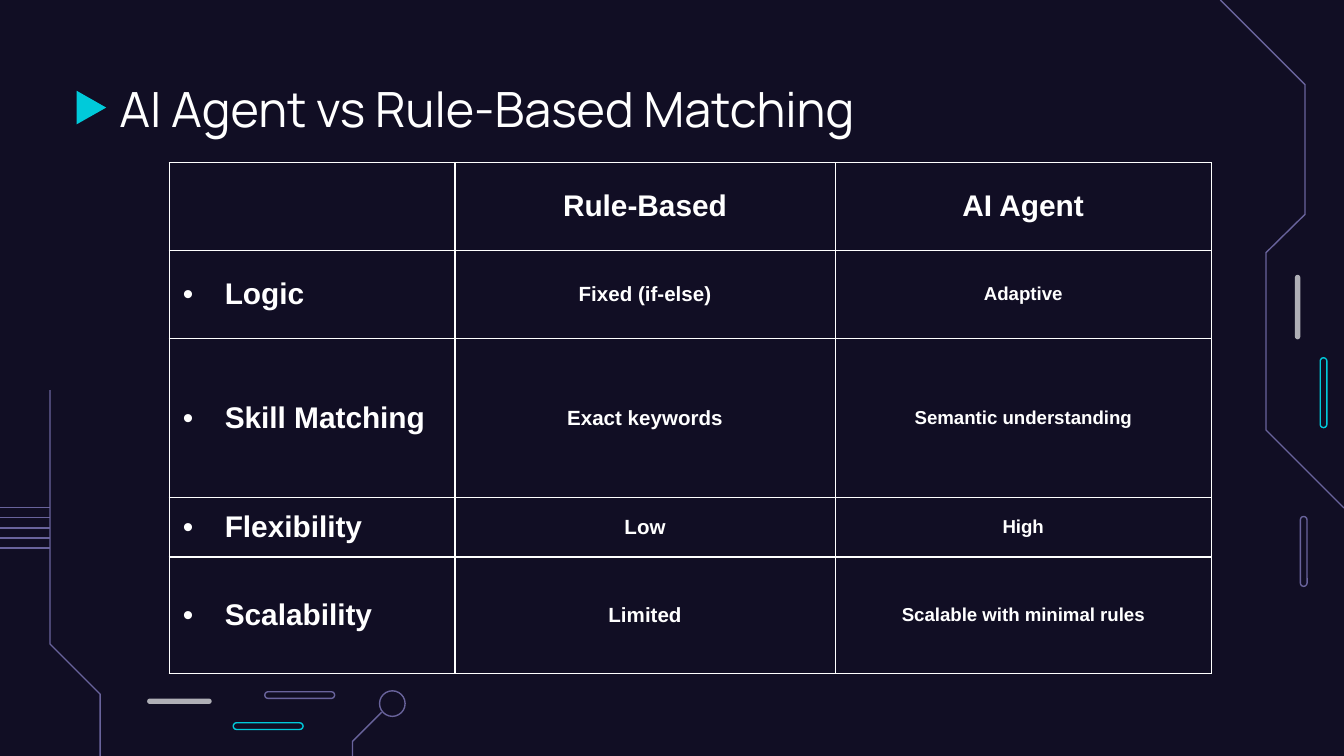
import lxml.etree
import pptx
import pptx.dml.color
import pptx.enum.shapes
import pptx.enum.text
import pptx.oxml
import pptx.oxml.ns
import pptx.util

SLIDE_WIDTH = pptx.util.Inches(10)
SLIDE_HEIGHT = SLIDE_WIDTH * 9 // 16
GRID_COLUMNS = 100  # square grid: rows are as high as columns are wide
BOTTOM = 56.25

NIGHT, WHITE, CYAN, VIOLET, GREY = "110E24", "FFFFFF", "00CADA", "69639C", "AFAFB6"
LINE_WIDTH = 0.75

COLUMN_WIDTHS = [21.25, 28.3, 27.97]
ROW_HEIGHTS = [6.54, 6.54, 11.84, 4.44, 8.67]
COMPARISON = [
    ["", "Rule-Based", "AI Agent"],
    ["Logic", "Fixed (if-else)", "Adaptive"],
    ["Skill Matching", "Exact keywords", "Semantic understanding"],
    ["Flexibility", "Low", "High"],
    ["Scalability", "Limited", "Scalable with minimal rules"],
]
HEADING_SIZE = 16
BODY_SIZES = [HEADING_SIZE, 11, 10]

CIRCUIT_TRACES = [
    [(100, 37.8), (94.2, 32), (94.2, 18.8), (97.1, 15.95), (97.1, 6.3), (90.8, 0)],
    [(7.45, BOTTOM), (7.45, 51.65), (3.72, 47.92), (3.72, 29.03)],
    [(28.4, 53), (26.23, 55.17), (26.23, BOTTOM)],
]
SOLID_PILLS = [(96.35, 20.45, 0.4, 4.8), (10.95, 51.98, 4.8, 0.4)]
OUTLINED_PILLS = [
    ((98.23, 26.62, 0.5, 5.2), CYAN),
    ((96.75, 38.43, 0.5, 5.2), VIOLET),
    ((17.35, 53.78, 5.2, 0.5), CYAN),
    ((19.7, 51.47, 5.2, 0.5), VIOLET),
]


def grid(units):
    return round(SLIDE_WIDTH * units / GRID_COLUMNS)


def color(hex_string):
    return pptx.dml.color.RGBColor.from_string(hex_string)


def write(frame, text, *, size, font="Arial", bold=False, align=None):
    paragraph = frame.paragraphs[0]
    paragraph.alignment = align
    run = paragraph.add_run()
    run.text = text
    run.font.size = pptx.util.Pt(size)
    run.font.name = font
    run.font.bold = bold
    run.font.color.rgb = color(WHITE)
    return paragraph


def paint(shape, fill=None, line=None):
    shape.shadow.inherit = False
    if fill:
        shape.fill.solid()
        shape.fill.fore_color.rgb = color(fill)
    else:
        shape.fill.background()
    if line:
        shape.line.color.rgb = color(line)
        shape.line.width = pptx.util.Pt(LINE_WIDTH)
    else:
        shape.line.fill.background()


def add_preset(slide, kind, box, **paints):
    shape = slide.shapes.add_shape(kind, *map(grid, box))
    paint(shape, **paints)
    return shape


def add_pill(slide, box, **paints):
    pill = add_preset(
        slide, pptx.enum.shapes.MSO_SHAPE.ROUNDED_RECTANGLE, box, **paints)
    pill.adjustments[0] = 0.5


def add_trace(slide, points):
    start, *rest = [(grid(x), grid(y)) for x, y in points]
    builder = slide.shapes.build_freeform(*start)
    builder.add_line_segments(rest, close=False)
    paint(builder.convert_to_shape(), line=VIOLET)


def add_wire(slide, y):
    """Draw a horizontal wire from the left edge to the left trace."""
    wire = slide.shapes.add_connector(
        pptx.enum.shapes.MSO_CONNECTOR.STRAIGHT,
        0, grid(y), grid(3.72), grid(y))
    wire.line.color.rgb = color(VIOLET)
    wire.line.width = pptx.util.Pt(LINE_WIDTH)
    lxml.etree.SubElement(
        wire._element.spPr, pptx.oxml.ns.qn("a:effectLst"))


def add_circuit(slide):
    for box in SOLID_PILLS:
        add_pill(slide, box, fill=GREY)
    for box, line in OUTLINED_PILLS:
        add_pill(slide, box, line=line)
    for points in CIRCUIT_TRACES:
        add_trace(slide, points)
    for index in range(5):
        add_wire(slide, 37.78 + 0.75 * index)
    add_preset(slide, pptx.enum.shapes.MSO_SHAPE.OVAL,
               (28.24, 51.4, 1.9, 1.9), line=VIOLET)


def add_title(slide):
    marker = add_preset(slide, pptx.enum.shapes.MSO_SHAPE.FLOWCHART_MERGE,
                        (5.55, 6.9, 2.5, 2.2), fill=CYAN)
    marker.rotation = 270
    title = slide.shapes.add_textbox(*map(grid, (7.9, 4.9, 84.3, 6.3)))
    frame = title.text_frame
    frame.word_wrap = True
    frame.vertical_anchor = pptx.enum.text.MSO_ANCHOR.MIDDLE
    frame.margin_left = frame.margin_right = grid(1)
    frame.margin_top = frame.margin_bottom = grid(0.5)
    write(frame, "AI Agent vs Rule-Based Matching", size=26, font="Manrope")


def add_bullet(paragraph):
    properties = paragraph._p.get_or_add_pPr()
    properties.set("marL", str(grid(3.13)))
    properties.set("indent", str(-grid(3.13)))
    namespace = pptx.oxml.ns.nsdecls("a")
    for xml in (
        f'<a:buClr {namespace}><a:srgbClr val="{WHITE}"/></a:buClr>',
        f'<a:buFont {namespace} typeface="Arial"/>',
        f'<a:buChar {namespace} char="•"/>',
    ):
        properties.append(pptx.oxml.parse_xml(xml))


def style_cell(cell):
    cell.fill.solid()
    cell.fill.fore_color.rgb = color(NIGHT)
    cell.vertical_anchor = pptx.enum.text.MSO_ANCHOR.MIDDLE
    cell.margin_left = cell.margin_right = grid(1)
    cell.margin_top = cell.margin_bottom = grid(0.8)
    properties = cell._tc.get_or_add_tcPr()
    for position, side in enumerate("LRTB"):
        properties.insert(position, pptx.oxml.parse_xml(
            f'<a:ln{side} {pptx.oxml.ns.nsdecls("a")} '
            f'w="{pptx.util.Pt(LINE_WIDTH)}"><a:solidFill>'
            f'<a:srgbClr val="{WHITE}"/></a:solidFill></a:ln{side}>'))


def add_comparison(slide):
    table = slide.shapes.add_table(
        len(ROW_HEIGHTS), len(COLUMN_WIDTHS), grid(12.6), grid(12.1),
        grid(sum(COLUMN_WIDTHS)), grid(sum(ROW_HEIGHTS))).table
    table.first_row = table.horz_banding = False
    for column, width in zip(table.columns, COLUMN_WIDTHS):
        column.width = grid(width)
    for row, height in zip(table.rows, ROW_HEIGHTS):
        row.height = grid(height)
    for r, texts in enumerate(COMPARISON):
        for c, text in enumerate(texts):
            cell = table.cell(r, c)
            style_cell(cell)
            if not text:
                continue
            size = HEADING_SIZE if r == 0 else BODY_SIZES[c]
            align = pptx.enum.text.PP_ALIGN.CENTER if c else None
            paragraph = write(
                cell.text_frame, text, size=size, bold=True, align=align)
            if c == 0:
                add_bullet(paragraph)


def main():
    deck = pptx.Presentation()
    deck.slide_width, deck.slide_height = SLIDE_WIDTH, SLIDE_HEIGHT
    slide = deck.slides.add_slide(deck.slide_layouts[6])
    slide.background.fill.solid()
    slide.background.fill.fore_color.rgb = color(NIGHT)
    add_circuit(slide)
    add_title(slide)
    add_comparison(slide)
    deck.save("out.pptx")


if __name__ == "__main__":
    main()
